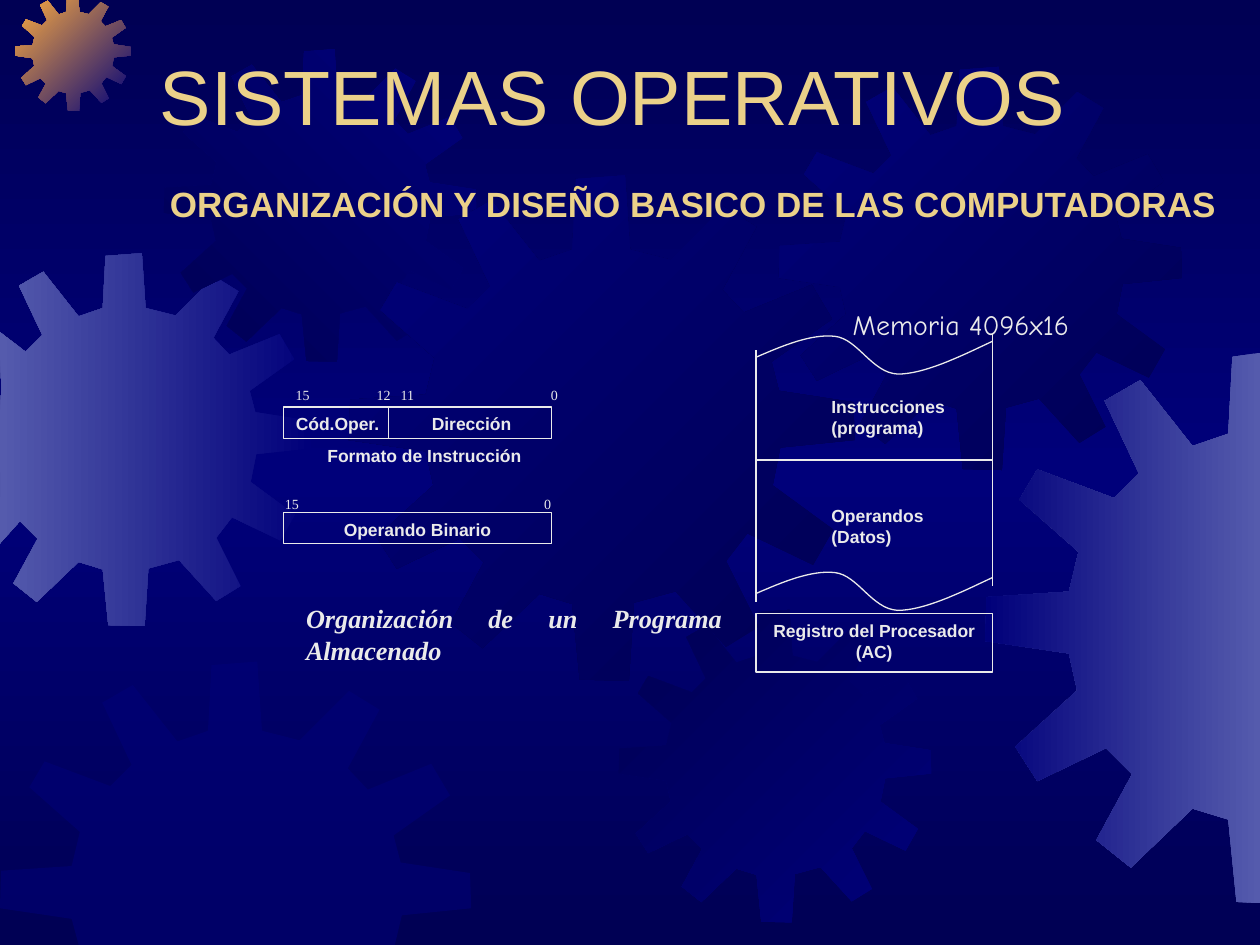
from copy import deepcopy
from dataclasses import dataclass

from lxml.etree import SubElement
from pptx import Presentation
from pptx.dml.color import RGBColor
from pptx.enum.shapes import MSO_CONNECTOR, MSO_SHAPE
from pptx.enum.text import MSO_ANCHOR, PP_ALIGN
from pptx.oxml.ns import qn
from pptx.util import Pt


@dataclass(frozen=True)
class Theme:
    navy: RGBColor = RGBColor(0x00, 0x00, 0x54)
    blue: RGBColor = RGBColor(0x00, 0x00, 0x7A)
    lilac: RGBColor = RGBColor(0x55, 0x5B, 0xAD)
    orange: RGBColor = RGBColor(0xFC, 0xAB, 0x40)
    gold: RGBColor = RGBColor(0xEB, 0xD1, 0x89)
    light: RGBColor = RGBColor(0xEA, 0xEA, 0xEA)
    title: int = 44
    subtitle: int = 20
    memory: int = 16
    caption: int = 15
    label: int = 10
    bits: int = 8
    stroke: float = 0.75


theme = Theme()
WIDTH, HEIGHT = 720, 540

prs = Presentation()
prs.slide_width, prs.slide_height = Pt(WIDTH), Pt(HEIGHT)
s = prs.slides.add_slide(prs.slide_layouts[6])


def add_text(text, left, top, width, height, size=theme.label, font="Arial",
             color=theme.light, bold=True, italic=False, align=PP_ALIGN.LEFT,
             anchor=MSO_ANCHOR.TOP, tabs=(), boxed=False):
    box = [Pt(v) for v in (left, top, width, height)]
    if boxed:
        sp = s.shapes.add_shape(MSO_SHAPE.RECTANGLE, *box)
        sp.shadow.inherit = False
        sp.fill.background()
        sp.line.color.rgb = theme.light
        sp.line.width = Pt(theme.stroke)
    else:
        sp = s.shapes.add_textbox(*box)
    tf = sp.text_frame
    tf.word_wrap = True
    tf.vertical_anchor = anchor
    p = tf.paragraphs[0]
    p.alignment = align
    if tabs:
        tab_list = SubElement(p._p.get_or_add_pPr(), qn("a:tabLst"))
        for pos in tabs:
            SubElement(tab_list, qn("a:tab"), pos=str(Pt(pos)), algn="l")
    r = p.add_run()
    r.text = text
    r.font.name, r.font.size = font, Pt(size)
    r.font.bold, r.font.italic = bold, italic
    r.font.color.rgb = color


def add_outline(points, close):
    points = [(Pt(x), Pt(y)) for x, y in points]
    builder = s.shapes.build_freeform(*points[0], scale=1.0)
    builder.add_line_segments(points[1:], close=close)
    sp = builder.convert_to_shape()
    sp.shadow.inherit = False
    return sp


bg = s.background.fill
bg.gradient()
bg.gradient_angle = 270
stop_list = s._element.xpath(".//p:bg//a:gsLst")[0]
stop_list.insert(1, deepcopy(stop_list[0]))
for stop, position, color in zip(bg.gradient_stops, (0, 0.5, 1),
                                 (theme.navy, theme.blue, theme.navy)):
    stop.position = position
    stop.color.rgb = color

GEAR_SIZE = 401
GEAR = [
    (255, 67), (223, 59), (219, 0), (180, 3), (177, 59), (151, 68),
    (113, 20), (87, 35), (112, 88), (94, 106), (38, 85), (25, 107),
    (68, 145), (61, 174), (1, 178), (0, 210), (61, 219), (67, 246),
    (22, 287), (38, 312), (88, 288), (107, 307), (81, 355), (106, 375),
    (151, 332), (177, 340), (183, 400), (222, 401), (226, 339), (259, 330),
    (299, 374), (325, 358), (299, 306), (316, 284), (368, 309), (384, 281),
    (336, 246), (342, 216), (401, 210), (400, 180), (341, 171), (335, 148),
    (383, 114), (367, 87), (313, 109), (296, 91), (323, 41), (297, 25),
]
gears = [
    (-35.3, 144.7, 213.1, theme.blue, theme.lilac, 180),
    (8.6, -2.9, 66.2, theme.blue, theme.orange, 135),
    (93.6, 28.1, 178.6, theme.blue, theme.navy, 225),
    (199.4, 100.1, 289, theme.navy, theme.blue, 135),
    (0, 378, 269.3, theme.blue, None, None),
    (353.5, 348.5, 178.6, theme.blue, theme.navy, 135),
    (445, 38.2, 230.4, theme.navy, theme.blue, 135),
    (563, 201.6, 314.6, theme.lilac, theme.blue, 180),
]
for left, top, size, start, end, angle in gears:
    k = size / GEAR_SIZE
    sp = add_outline([(min(max(left + x * k, 0), WIDTH),
                       min(max(top + y * k, 0), HEIGHT)) for x, y in GEAR], True)
    sp.line.fill.background()
    if end is None:
        sp.fill.solid()
        sp.fill.fore_color.rgb = start
        rgb = sp._element.xpath("./p:spPr/a:solidFill/a:srgbClr")[0]
        SubElement(rgb, qn("a:alpha"), val="50000")
    else:
        sp.fill.gradient()
        sp.fill.gradient_angle = angle
        for stop, position, color in zip(sp.fill.gradient_stops, (0, 1), (start, end)):
            stop.position = position
            stop.color.rgb = color

add_text("SISTEMAS OPERATIVOS", 84.24, 36, 612, 48.24, size=theme.title,
         color=theme.gold, bold=False, anchor=MSO_ANCHOR.BOTTOM)
add_text("ORGANIZACIÓN Y DISEÑO BASICO DE LAS COMPUTADORAS", 90, 90, 624, 41.76,
         size=theme.subtitle, color=theme.gold, anchor=MSO_ANCHOR.BOTTOM)

for text, top, tabs in (("\t15\t12\t11\t0", 217.4, (35.9, 82.2, 95.9, 181.7)),
                        ("\t15\t0", 279.7, (29.7, 177.9))):
    add_text(text, 126, top, 258, 20, size=theme.bits, font="Times New Roman",
             bold=False, tabs=tabs)

MEM_LEFT, MEM_RIGHT = 432, 567
WAVE = [(0, 13.4), (15.8, 6.5), (31.7, 0), (45, 1.4), (58.3, 2.9), (66.2, 22.3),
        (81, 23), (95.8, 23), (115.2, 13.7), (135, 4.3)]
STEPS = 16
for top in (190.8, 325.8):
    curve = [WAVE[0]]
    for i in range(0, 9, 3):
        for step in range(1, STEPS + 1):
            t = step / STEPS
            weights = ((1 - t) ** 3, 3 * t * (1 - t) ** 2, 3 * t * t * (1 - t), t ** 3)
            curve.append(tuple(sum(w * pt[axis] for w, pt in zip(weights, WAVE[i:i + 4]))
                               for axis in (0, 1)))
    sp = add_outline([(MEM_LEFT + x, top + y) for x, y in curve], False)
    sp.fill.background()
    sp.line.color.rgb = theme.light
    sp.line.width = Pt(theme.stroke)

for x1, y1, x2, y2 in ((MEM_LEFT, 200.2, MEM_LEFT, 344.2),
                       (MEM_RIGHT, 190.8, MEM_RIGHT, 334.8),
                       (MEM_LEFT, 262.8, MEM_RIGHT, 262.8),
                       (222, 232.6, 222, 250.6)):
    line = s.shapes.add_connector(MSO_CONNECTOR.STRAIGHT, Pt(x1), Pt(y1), Pt(x2), Pt(y2))
    line.line.color.rgb = theme.light
    line.line.width = Pt(theme.stroke)
    SubElement(line._element.spPr, qn("a:effectLst"))

add_text("Memoria 4096x16", 480.2, 172.5, 156, 28, size=theme.memory,
         font="Comic Neue", bold=False)
add_text("Instrucciones (programa)", 468, 222.5, 90, 44.6)
add_text("Operandos (Datos)", 468, 285.1, 90, 44.6)
add_text("Registro del Procesador (AC)", MEM_LEFT, 350.6, MEM_RIGHT - MEM_LEFT, 33.4,
         align=PP_ALIGN.CENTER, boxed=True)
add_text("Cód.Oper.\tDirección", 162, 232.6, 153, 18, tabs=(77.7,), boxed=True)
add_text("Operando Binario", 162, 292.8, 153, 18, align=PP_ALIGN.CENTER, boxed=True)
add_text("Formato de Instrucción", 180, 250.6, 132, 12.2)
add_text("Organización de un Programa Almacenado", 167.8, 340.6, 252, 41.8,
         size=theme.caption, font="Times New Roman", italic=True, align=PP_ALIGN.JUSTIFY)

prs.save("out.pptx")
